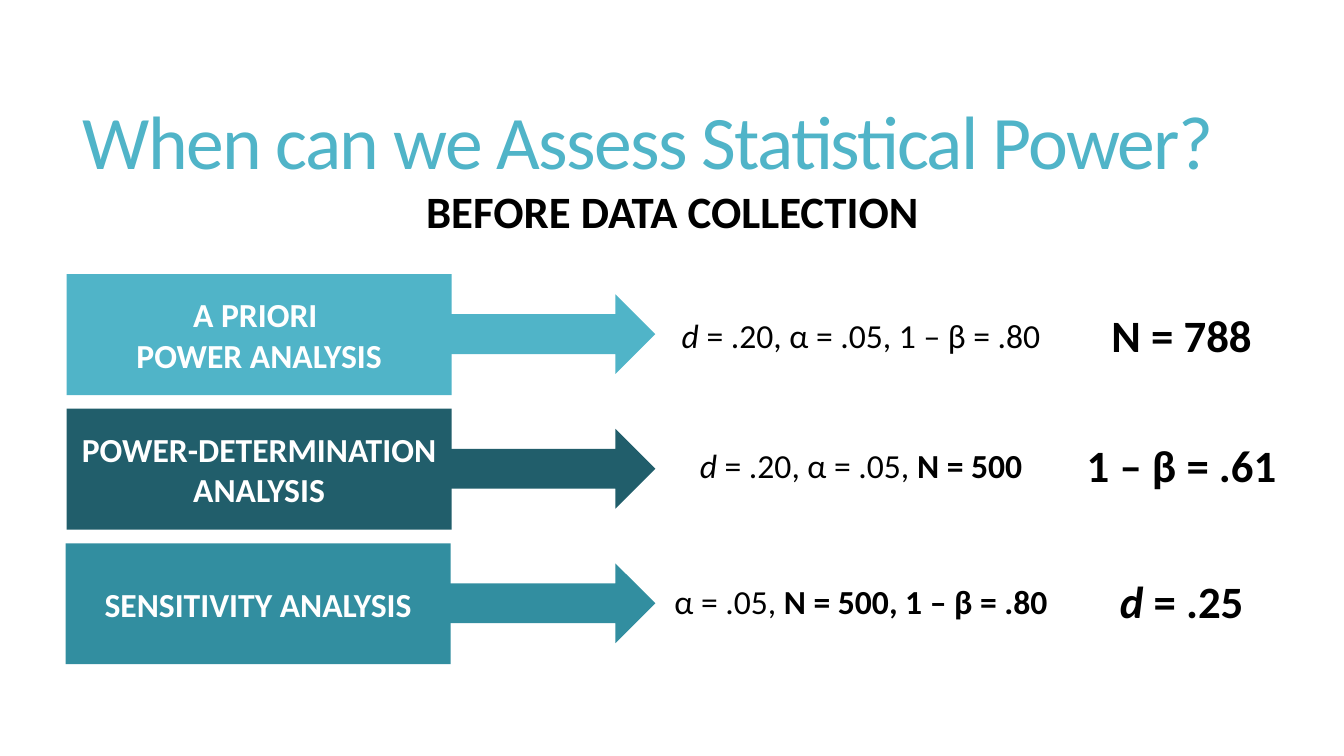
import pptx
import pptx.util
import pptx.dml.color
import pptx.enum.shapes
import pptx.enum.text
from pptx.util import Inches, Pt

SHAPE = pptx.enum.shapes.MSO_SHAPE
ALIGN = pptx.enum.text.PP_ALIGN
ANCHOR = pptx.enum.text.MSO_ANCHOR
AUTO_SIZE = pptx.enum.text.MSO_AUTO_SIZE

SKY, DEEP, TEAL = "50B4C8", "215E6B", "328EA0"
WHITE, BLACK = "FFFFFF", "000000"


def rgb(value):
    return pptx.dml.color.RGBColor.from_string(value)


class PowerSlide:
    font = "Calibri"

    def __init__(self, prs):
        self.s = prs.slides.add_slide(prs.slide_layouts[5])

    def style(self, p, size, color, bold=None):
        p.font.name = self.font
        p.font.size = Pt(size)
        p.font.color.rgb = rgb(color)
        p.font.bold = bold

    def title(self, text, x, y, w, h):
        sp = self.s.shapes.title
        sp.left, sp.top, sp.width, sp.height = map(Inches, (x, y, w, h))
        tf = sp.text_frame
        tf.word_wrap = True
        tf.auto_size = AUTO_SIZE.NONE
        tf.vertical_anchor = ANCHOR.MIDDLE
        p = tf.paragraphs[0]
        p.alignment = ALIGN.LEFT
        p.line_spacing = 0.85
        self.style(p, 54, SKY)
        r = p.add_run()
        r.text = text
        r.font._element.set("spc", "-120")

    def shape(self, kind, x, y, w, h, fill, line=None):
        sp = self.s.shapes.add_shape(kind, *map(Inches, (x, y, w, h)))
        sp.shadow.inherit = False
        sp.fill.solid()
        sp.fill.fore_color.rgb = rgb(fill)
        if line:
            sp.line.color.rgb = rgb(line)
            sp.line.width = Pt(1)
        else:
            sp.line.fill.background()
        return sp

    def arrow(self, x, y, w, h, fill):
        self.shape(SHAPE.RIGHT_ARROW, x, y, w, h, fill)

    def box(self, lines, x, y, w, h, fill, size):
        """Filled box with one bold, centred white paragraph per line."""
        tf = self.shape(SHAPE.RECTANGLE, x, y, w, h, fill).text_frame
        tf.word_wrap = True
        tf.vertical_anchor = ANCHOR.MIDDLE
        for i, line in enumerate(lines):
            p = tf.add_paragraph() if i else tf.paragraphs[0]
            p.text = line
            p.alignment = ALIGN.CENTER
            self.style(p, size, WHITE, True)

    def label(self, runs, x, y, w, h, size):
        """White box; each run is (text, flags), flags holding b and/or i."""
        sp = self.shape(SHAPE.RECTANGLE, x, y, w, h, WHITE, WHITE)
        tf = sp.text_frame
        tf.word_wrap = True
        tf.vertical_anchor = ANCHOR.MIDDLE
        p = tf.paragraphs[0]
        p.alignment = ALIGN.CENTER
        self.style(p, size, BLACK)
        for text, flags in runs:
            r = p.add_run()
            r.text = text
            r.font.bold = "b" in flags
            r.font.italic = "i" in flags


# analysis name, box left, colour, label top, given values, result
ANALYSES = [
    (["A PRIORI ", "POWER ANALYSIS"], 0.66, SKY, 3.08,
     [("d ", "i"), ("= .20, α = .05, 1 – β = .80", "")],
     [("N = 788", "b")]),
    (["POWER-DETERMINATION ANALYSIS"], 0.66, DEEP, 4.37,
     [("d ", "i"), ("= .20, α = .05, ", ""), ("N = 500", "b")],
     [("1 – β = .61", "b")]),
    (["SENSITIVITY ANALYSIS"], 0.65, TEAL, 5.72,
     [("α = .05, ", ""), ("N = 500, 1 – β = .80", "b")],
     [("d", "bi"), (" = .25", "b")]),
]
ROW_TOP, ROW_STEP = 2.72, 1.335


def main():
    prs = pptx.Presentation()
    prs.slide_width, prs.slide_height = Inches(13.33), Inches(7.5)
    slide = PowerSlide(prs)
    slide.title("When can we Assess Statistical Power?", 0.72, 0.55, 11.78, 1.81)
    slide.label([("BEFORE DATA COLLECTION", "b")], 3.83, 1.85, 5.68, 0.48, 32)
    for i, (name, left, color, label_top, given, result) in enumerate(ANALYSES):
        top = ROW_TOP + i * ROW_STEP
        slide.arrow(4.46, top + 0.2, 2.04, 0.79, color)
        slide.box(name, left, top, 3.82, 1.2, color, 24)
        slide.label(given, 6.57, label_top, 3.94, 0.48, 24)
        slide.label(result, 10.58, label_top, 2.28, 0.48, 32)
    prs.save("out.pptx")


if __name__ == "__main__":
    main()
